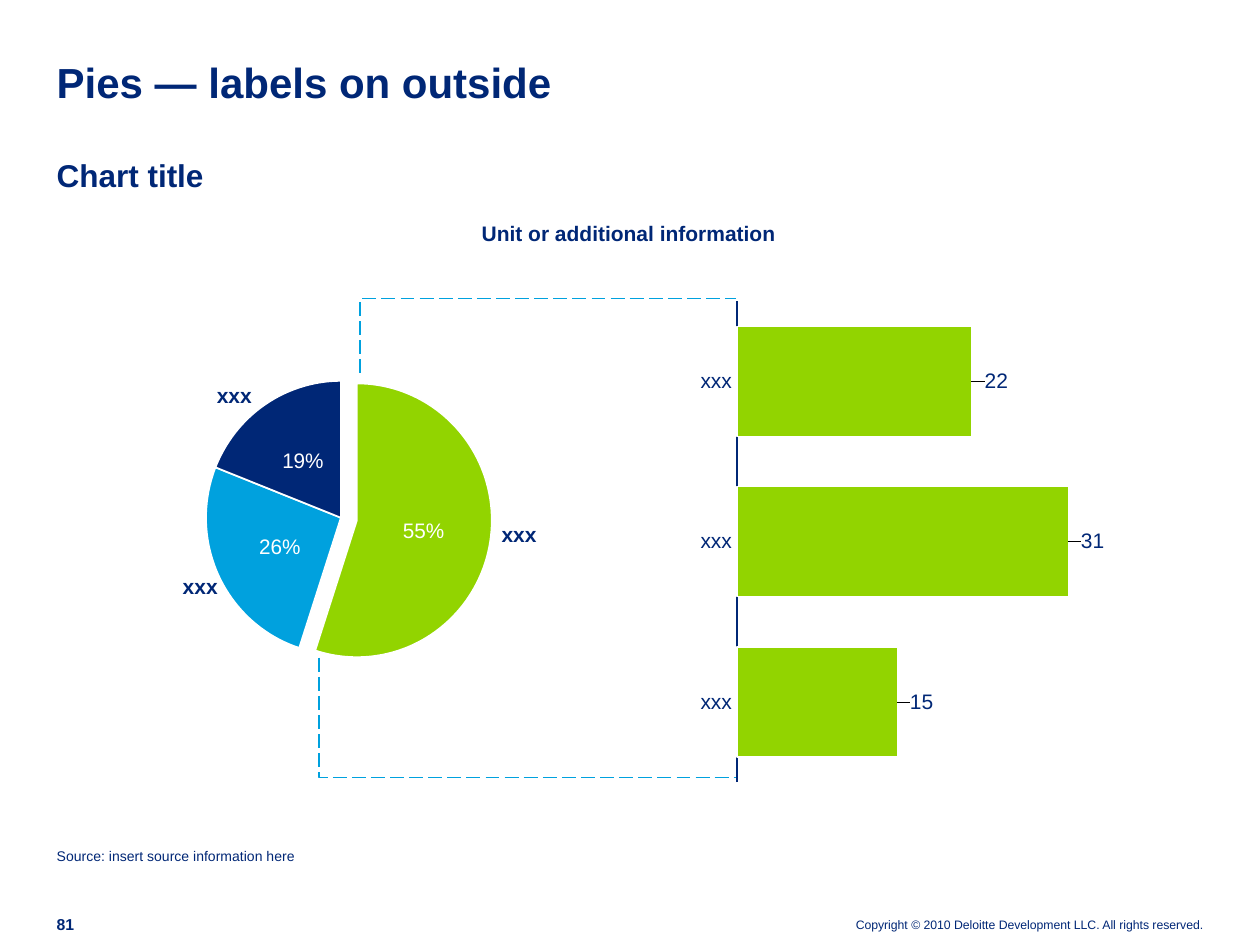
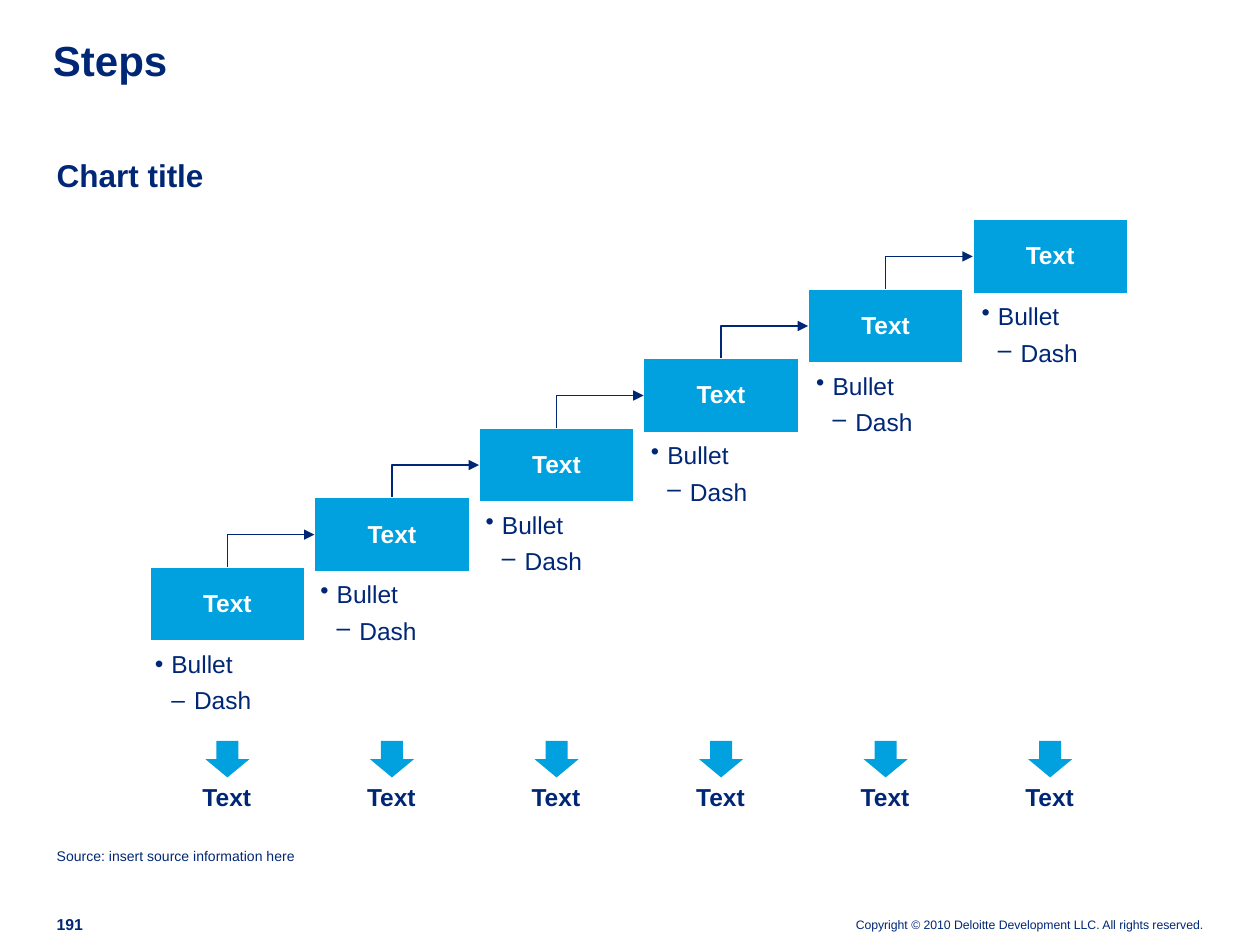
import dataclasses

import lxml.etree
import pptx
import pptx.chart.data
import pptx.dml.color
import pptx.enum.chart
import pptx.enum.dml
import pptx.enum.shapes
import pptx.enum.text
import pptx.oxml.ns
import pptx.util

Inches = pptx.util.Inches
Pt = pptx.util.Pt
qn = pptx.oxml.ns.qn
Align = pptx.enum.text.PP_ALIGN
Anchor = pptx.enum.text.MSO_ANCHOR
Shape = pptx.enum.shapes.MSO_SHAPE
ChartType = pptx.enum.chart.XL_CHART_TYPE
LabelPosition = pptx.enum.chart.XL_LABEL_POSITION


def color(value):
    return pptx.dml.color.RGBColor.from_string(value)


@dataclasses.dataclass(frozen=True)
class Theme:
    font: str = "Arial"
    navy: pptx.dml.color.RGBColor = color("002776")
    blue: pptx.dml.color.RGBColor = color("00A1DE")
    green: pptx.dml.color.RGBColor = color("92D400")
    white: pptx.dml.color.RGBColor = color("FFFFFF")
    title: int = 24
    heading: int = 18
    step: int = 14
    label: int = 12
    number: int = 9
    source: int = 8
    copyright: int = 7


def evenly(first, last, count):
    return [first + (last - first) * index / (count - 1) for index in range(count)]


class Deck:
    def __init__(self, theme):
        self.theme = theme
        self.presentation = pptx.Presentation()
        self.presentation.slide_width = Inches(10)
        self.presentation.slide_height = Inches(7.5)
        self.slide = None

    def add_slide(self, layout, number, title, title_box, title_anchor):
        layouts = self.presentation.slide_layouts
        self.slide = self.presentation.slides.add_slide(layouts.get_by_name(layout))
        theme = self.theme
        shape = self.slide.shapes.title
        self.place(shape, title_box)
        self.fill_text(shape, title, theme.title, bold=True, anchor=title_anchor,
                       spacing=Pt(26))
        self.text((0.45, 1.24, 2.14, 0.3), "Chart title", theme.heading, bold=True)
        self.text((0.45, 6.73, 4.37, 0.14), "Source: insert source information here",
                  theme.source)
        self.text((0.45, 7.26, 0.29, 0.15), number, theme.number, bold=True,
                  anchor=Anchor.BOTTOM)
        self.text((6.02, 7.28, 3.53, 0.12),
                  "Copyright © 2010 Deloitte Development LLC. All rights reserved.",
                  theme.copyright, align=Align.RIGHT, anchor=Anchor.BOTTOM)

    def place(self, shape, box):
        shape.left, shape.top, shape.width, shape.height = map(Inches, box)

    def prepare_frame(self, shape, anchor=Anchor.TOP):
        frame = shape.text_frame
        frame.word_wrap = True
        frame.auto_size = pptx.enum.text.MSO_AUTO_SIZE.NONE
        frame.vertical_anchor = anchor
        frame.margin_left = frame.margin_right = 0
        frame.margin_top = frame.margin_bottom = 0
        return frame

    def add_run(self, paragraph, words, size, bold=False, ink=None):
        run = paragraph.add_run()
        run.text = words
        self.style_font(run.font, size, bold, ink)

    def style_font(self, font, size, bold=False, ink=None):
        font.name = self.theme.font
        font.size = Pt(size)
        font.bold = bold
        font.color.rgb = ink or self.theme.navy

    def fill_text(self, shape, words, size, bold=False, align=Align.LEFT,
                  anchor=Anchor.TOP, spacing=None, ink=None):
        paragraph = self.prepare_frame(shape, anchor).paragraphs[0]
        paragraph.alignment = align
        paragraph.line_spacing = spacing
        self.add_run(paragraph, words, size, bold, ink)

    def text(self, box, words, size, **style):
        shape = self.slide.shapes.add_textbox(*map(Inches, box))
        self.fill_text(shape, words, size, **style)

    def bullets(self, box, items, shape=None):
        shape = shape or self.slide.shapes.add_textbox(*map(Inches, box))
        self.place(shape, box)
        frame = self.prepare_frame(shape)
        styles = [("•", 0.13, 0.13), ("–", 0.31, 0.18)]
        for index, (level, words) in enumerate(items):
            paragraph = frame.add_paragraph() if index else frame.paragraphs[0]
            mark, margin, hanging = styles[level]
            paragraph.level = level
            properties = paragraph._p.get_or_add_pPr()
            properties.set("marL", str(Inches(margin)))
            properties.set("indent", str(-Inches(hanging)))
            lxml.etree.SubElement(properties, qn("a:buChar")).set("char", mark)
            paragraph.space_before = Pt(4 if index else 0)
            self.add_run(paragraph, words, self.theme.step)

    def shape(self, kind, box, outline=None):
        shape = self.slide.shapes.add_shape(kind, *map(Inches, box))
        shape.shadow.inherit = False
        shape.fill.solid()
        shape.fill.fore_color.rgb = self.theme.blue
        if outline:
            shape.line.color.rgb = outline
            shape.line.width = Pt(1)
        else:
            shape.line.fill.background()
        return shape

    def dashed_path(self, points):
        start, *rest = [tuple(map(Inches, point)) for point in points]
        builder = self.slide.shapes.build_freeform(*start)
        builder.add_line_segments(rest, close=False)
        shape = builder.convert_to_shape()
        shape.shadow.inherit = False
        shape.fill.background()
        shape.line.color.rgb = self.theme.blue
        shape.line.width = Pt(1)
        shape.line.dash_style = pptx.enum.dml.MSO_LINE.LONG_DASH

    def step_arrow(self, lower, upper):
        connector = self.slide.shapes.add_connector(
            pptx.enum.shapes.MSO_CONNECTOR.ELBOW,
            upper.left, upper.top + upper.height // 2,
            lower.left + lower.width // 2, lower.top)
        connector.begin_connect(upper, 1)
        connector.end_connect(lower, 0)
        connector.line.color.rgb = self.theme.navy
        connector.line.width = Pt(1)
        properties = connector._element.spPr
        properties.find(qn("a:prstGeom")).set("prst", "bentConnector2")
        line = properties.find(qn("a:ln"))
        lxml.etree.SubElement(line, qn("a:headEnd")).set("type", "triangle")
        lxml.etree.SubElement(properties, qn("a:effectLst"))

    def manual_layout(self, parent, position, **values):
        for old in parent.findall(qn("c:layout")):
            parent.remove(old)
        layout = lxml.etree.Element(qn("c:layout"))
        manual = lxml.etree.SubElement(layout, qn("c:manualLayout"))
        for name, value in values.items():
            lxml.etree.SubElement(manual, qn(f"c:{name}")).set("val", str(value))
        parent.insert(position, layout)

    def chart(self, kind, box, categories, values, plot_box):
        data = pptx.chart.data.CategoryChartData()
        data.categories = categories
        data.add_series("Series 1", values)
        chart = self.slide.shapes.add_chart(kind, *map(Inches, box), data).chart
        chart.has_legend = False
        chart.has_title = False
        self.style_font(chart.font, self.theme.label)
        left, top, width, height = plot_box
        self.manual_layout(chart.element.find(".//" + qn("c:plotArea")), 0,
                           layoutTarget="inner", xMode="edge", yMode="edge",
                           x=left, y=top, w=width, h=height)
        return chart

    def pie(self, box, categories, values, colors, explosion):
        chart = self.chart(ChartType.PIE, box, categories, values,
                           (0.08, 0.05, 0.88, 0.87))
        plot = chart.plots[0]
        plot.vary_by_categories = False
        for index, fill in enumerate(colors):
            style = plot.series[0].points[index].format
            style.fill.solid()
            style.fill.fore_color.rgb = fill
            style.line.color.rgb = self.theme.white
            style.line.width = Pt(1)
        first_point = chart.element.find(".//" + qn("c:dPt"))
        burst = lxml.etree.Element(qn("c:explosion"))
        burst.set("val", str(explosion))
        first_point.find(qn("c:spPr")).addprevious(burst)
        plot.has_data_labels = True
        labels = plot.data_labels
        labels.show_percentage = True
        labels.show_value = False
        labels.number_format = "0%"
        labels.number_format_is_linked = False
        labels.position = LabelPosition.CENTER
        self.style_font(labels.font, self.theme.label, ink=self.theme.white)

    def bars(self, box, categories, values, maximum):
        chart = self.chart(ChartType.BAR_STACKED, box, categories, values,
                           (0.16, 0.05, 0.82, 0.87))
        plot = chart.plots[0]
        plot.vary_by_categories = False
        plot.gap_width = 46
        plot.overlap = 100
        series = plot.series[0]
        series.format.fill.solid()
        series.format.fill.fore_color.rgb = self.theme.green
        series.format.line.color.rgb = self.theme.white
        series.format.line.width = Pt(0.75)
        for index in range(len(values)):
            label = series.points[index].data_label
            self.style_font(label.font, self.theme.label)
            label.position = LabelPosition.INSIDE_END
        for label in chart.element.iter(qn("c:dLbl")):
            self.manual_layout(label, 1, x=0.09, y=0)
        axis = chart.category_axis
        axis.major_tick_mark = pptx.enum.chart.XL_TICK_MARK.NONE
        axis.format.line.color.rgb = self.theme.navy
        axis.format.line.width = Pt(0.75)
        axis = chart.value_axis
        axis.minimum_scale = 0
        axis.maximum_scale = maximum
        axis.has_major_gridlines = False
        axis.visible = False


def build_pies(deck):
    theme = deck.theme
    deck.add_slide("Title Only", "81", "Pies — labels on outside",
                   (0.45, 0.49, 9.11, 0.36), Anchor.BOTTOM)
    deck.dashed_path([(2.86, 2.96), (2.86, 2.37), (5.84, 2.37)])
    deck.dashed_path([(2.53, 5.22), (2.53, 6.17), (5.84, 6.17)])
    deck.pie((1.44, 2.83, 2.47, 2.64), ["1", "2", "3"], [55, 26, 19],
             [theme.green, theme.blue, theme.navy], 12)
    deck.bars((5.27, 2.17, 3.62, 4.39), ["xxx"] * 3, [15, 31, 22], 35)
    for left, top in [(1.68, 3.04), (1.41, 4.55), (3.94, 4.14)]:
        deck.text((left, top, 0.36, 0.2), "xxx", theme.label, bold=True,
                  align=Align.CENTER)
    deck.text((3.81, 1.75, 2.36, 0.21), "Unit or additional information",
              theme.label, bold=True, align=Align.CENTER)


def build_steps(deck):
    theme = deck.theme
    deck.add_slide("Title and Content", "191", "Steps",
                   (0.42, 0.31, 9.16, 0.65), Anchor.TOP)
    count = 6
    width, height = 1.23, 0.59
    label_style = dict(bold=True, align=Align.CENTER, spacing=0.95)
    lefts = evenly(1.19, 7.72, count)
    steps = []
    for left, top in zip(lefts, evenly(4.5, 1.74, count)):
        step = deck.shape(Shape.RECTANGLE, (left, top, width, height), theme.white)
        deck.fill_text(step, "Text", theme.step, anchor=Anchor.MIDDLE,
                       ink=theme.white, **label_style)
        steps.append(step)
        center = left + width / 2
        arrow = deck.shape(Shape.DOWN_ARROW, (center - 0.175, 5.88, 0.35, 0.29))
        arrow.adjustments[0] = arrow.adjustments[1] = 0.5
        deck.text((center - 0.33, 6.22, 0.65, 0.22), "Text", theme.step, **label_style)
    for lower, upper in zip(steps, steps[1:]):
        deck.step_arrow(lower, upper)
    body = deck.slide.placeholders[1]
    for left, top in zip(evenly(1.23, 7.79, count), evenly(5.15, 2.39, count)):
        deck.bullets((left, top, 1.25, 0.53), [(0, "Bullet"), (1, "Dash")], body)
        body = None


def main():
    deck = Deck(Theme())
    build_pies(deck)
    build_steps(deck)
    deck.presentation.save("out.pptx")


if __name__ == "__main__":
    main()
